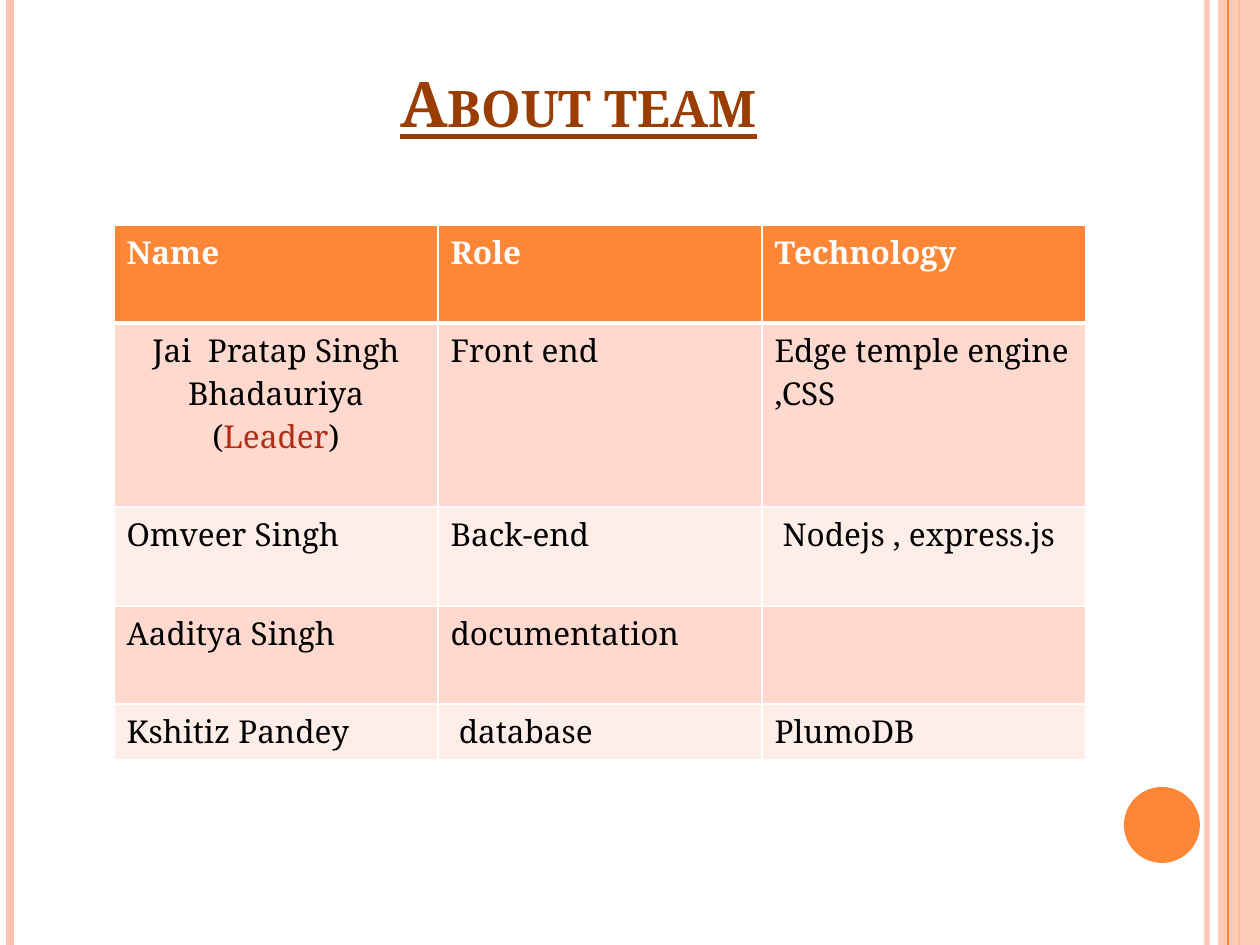
from dataclasses import dataclass

from lxml import etree
from pptx import Presentation
from pptx import util as u
from pptx.dml.color import RGBColor
from pptx.enum import shapes, text
from pptx.oxml.ns import qn

# Content: a cell is plain words, or a list of paragraphs made of (words, colour name)
TITLE = "About team"
HEADER = ["Name", "Role", "Technology"]
TEAM = [
    [[[("Jai  Pratap Singh Bhadauriya", "ink")],
      [("(", "ink"), ("Leader", "accent"), (")", "ink")]],
     "Front end", "Edge temple engine ,CSS"],
    ["Omveer Singh", "Back-end", " Nodejs , express.js"],
    ["Aaditya Singh", "documentation", ""],
    ["Kshitiz Pandey", " database", "PlumoDB"],
]


@dataclass(frozen=True)
class Theme:
    font: str = "Noto Serif"
    title_size: int = 36
    body_size: int = 18
    title: str = "9A3D01"
    ink: str = "000000"
    accent: str = "B32C16"
    white: str = "FFFFFF"
    orange: str = "FE8637"
    pink: str = "FEC3AE"
    bands: tuple = ("FFD9CE", "FFEDE8")


THEME = Theme()

# Geometry in px, 126 to the inch
PAGE_W, PAGE_H = 1260, 945
TITLE_BOX = (64, 65, 1029, 81)
TABLE_LEFT, TABLE_TOP, COLUMN_W = 114, 225, 324
ROW_HEIGHTS = [98, 184, 99, 98, 55]
PANEL = (1218, 0, 42, PAGE_H)
DISC = (1124, 787, 76, 76)
# x, colour, width in points, opacity in percent
LINES_BEHIND = [(1207, THEME.pink, 3, 93), (10, THEME.pink, 4.5, 100),
                (1239, THEME.orange, 1.5, 100)]
LINES_FRONT = [(1228, THEME.orange, 0.75, 100)]


def px(value):
    return u.Emu(round(value * 914400 / 126))


def rgb(colour):
    return RGBColor.from_string(colour)


def set_opacity(element, percent):
    if percent < 100:
        colour = next(element.iter(qn("a:srgbClr")))
        etree.SubElement(colour, qn("a:alpha"), val=str(percent * 1000))


def add_line(page, x, colour, width, opacity):
    line = page.shapes.add_connector(
        shapes.MSO_CONNECTOR.STRAIGHT, px(x), px(0), px(x), px(PAGE_H))
    line.line.color.rgb = rgb(colour)
    line.line.width = u.Pt(width)
    properties = line._element.spPr
    set_opacity(properties, opacity)
    etree.SubElement(properties, qn("a:effectLst"))


def add_filled(page, kind, box, colour, opacity=100):
    shape = page.shapes.add_shape(kind, *map(px, box))
    shape.shadow.inherit = False
    shape.fill.solid()
    shape.fill.fore_color.rgb = rgb(colour)
    shape.line.fill.background()
    set_opacity(shape._element.spPr, opacity)


def style_font(font, size, bold):
    font.name = THEME.font
    font.size = u.Pt(size)
    font.bold = bold


def add_title(page):
    title = page.shapes.title
    title.left, title.top, title.width, title.height = map(px, TITLE_BOX)
    frame = title.text_frame
    frame.text = TITLE
    frame.auto_size = text.MSO_AUTO_SIZE.NONE
    frame.vertical_anchor = text.MSO_ANCHOR.BOTTOM
    para = frame.paragraphs[0]
    para.alignment = text.PP_ALIGN.CENTER
    span = para.runs[0]
    style_font(span.font, THEME.title_size, True)
    span.font.underline = True
    span.font.color.rgb = rgb(THEME.title)
    span.font._element.set("cap", "small")


def set_borders(cell, top, bottom):
    properties = cell._tc.get_or_add_tcPr()
    for side, points in (("L", 1), ("R", 1), ("T", top), ("B", bottom)):
        line = etree.SubElement(properties, qn(f"a:ln{side}"), w=str(u.Pt(points)))
        fill = etree.SubElement(line, qn("a:solidFill"))
        etree.SubElement(fill, qn("a:srgbClr"), val=THEME.white)


def fill_cell(cell, content, bold, colour_name):
    if isinstance(content, str):
        paragraphs, alignment = [[(content, colour_name)]], text.PP_ALIGN.LEFT
    else:
        paragraphs, alignment = content, text.PP_ALIGN.CENTER
    frame = cell.text_frame
    for index, spans in enumerate(paragraphs):
        para = frame.add_paragraph() if index else frame.paragraphs[0]
        para.alignment = alignment
        style_font(para.font, THEME.body_size, bold)
        for words, name in spans:
            if words:
                span = para.add_run()
                span.text = words
                span.font.color.rgb = rgb(getattr(THEME, name))


def add_team_table(page):
    rows = [HEADER, *TEAM]
    table = page.shapes.add_table(
        len(rows), len(HEADER), px(TABLE_LEFT), px(TABLE_TOP),
        px(COLUMN_W * len(HEADER)), px(sum(ROW_HEIGHTS))).table
    for column in table.columns:
        column.width = px(COLUMN_W)
    for r, (contents, height) in enumerate(zip(rows, ROW_HEIGHTS)):
        table.rows[r].height = px(height)
        is_header = r == 0
        for c, content in enumerate(contents):
            cell = table.cell(r, c)
            set_borders(cell, 3 if r == 1 else 1, 3 if is_header else 1)
            cell.fill.solid()
            cell.fill.fore_color.rgb = rgb(
                THEME.orange if is_header else THEME.bands[(r - 1) % 2])
            fill_cell(cell, content, is_header, "white" if is_header else "ink")


def main():
    deck = Presentation()
    deck.slide_width, deck.slide_height = px(PAGE_W), px(PAGE_H)
    page = deck.slides.add_slide(deck.slide_layouts[5])

    # Side decoration, back to front
    for line in LINES_BEHIND:
        add_line(page, *line)
    add_filled(page, shapes.MSO_SHAPE.RECTANGLE, PANEL, THEME.pink, 87)
    for line in LINES_FRONT:
        add_line(page, *line)
    add_filled(page, shapes.MSO_SHAPE.OVAL, DISC, THEME.orange)

    # Title and table
    add_title(page)
    add_team_table(page)
    deck.save("out.pptx")


if __name__ == "__main__":
    main()
